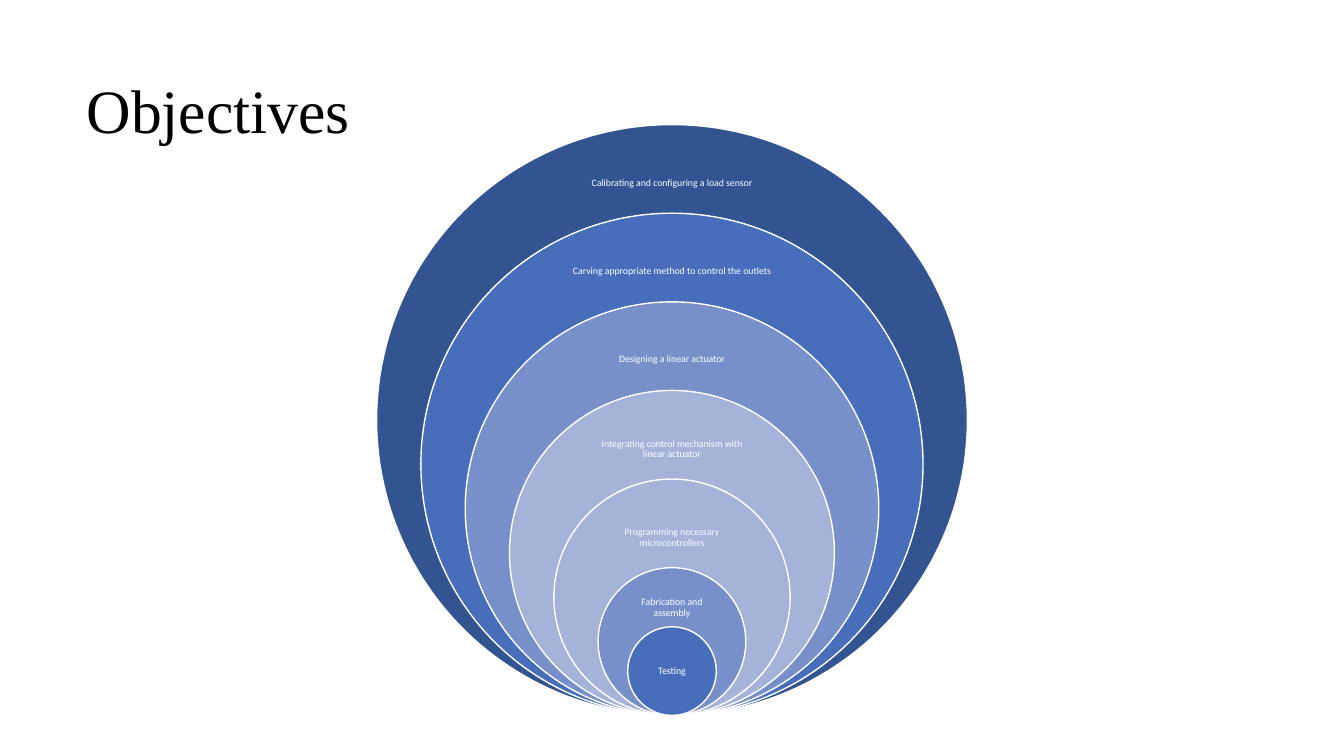
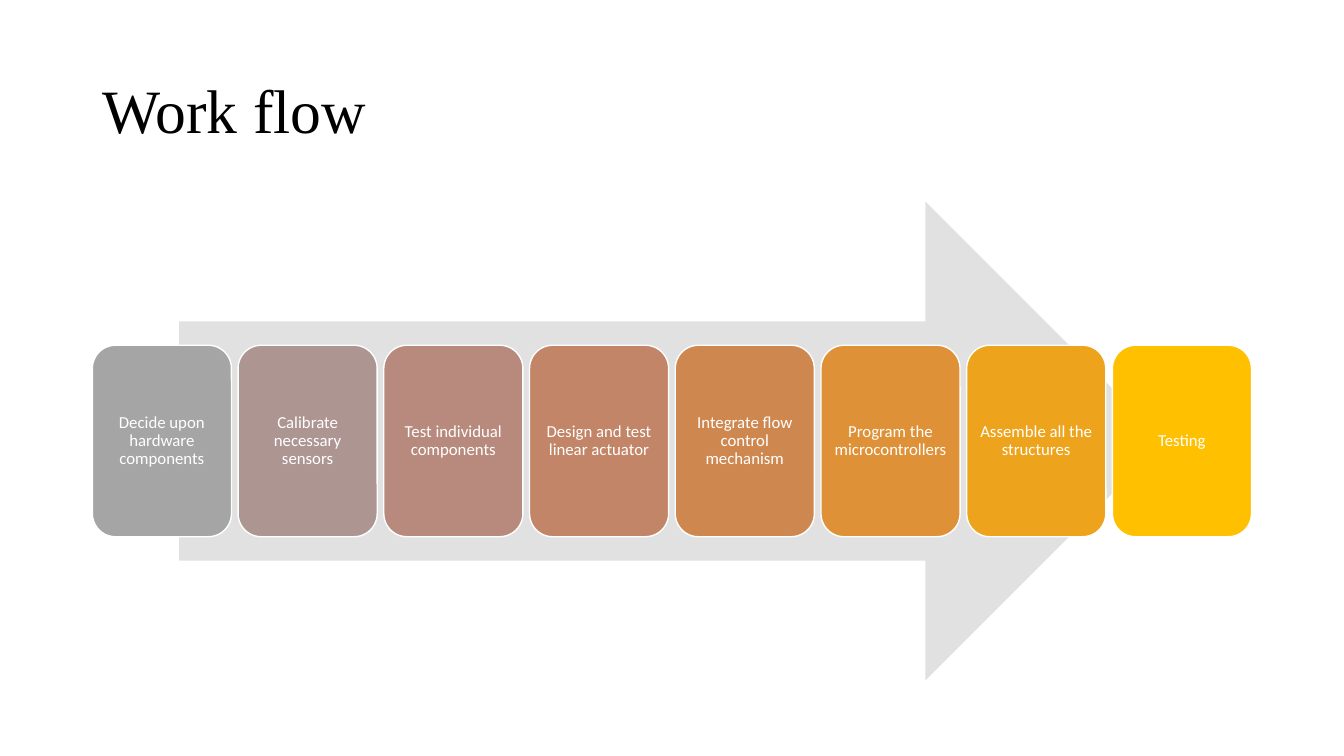
from colorsys import hls_to_rgb

from pptx import Presentation
from pptx.dml.color import RGBColor
from pptx.enum.shapes import MSO_SHAPE
from pptx.enum.text import MSO_ANCHOR, PP_ALIGN
from pptx.util import Pt

OVAL = MSO_SHAPE.OVAL
CARD = MSO_SHAPE.ROUNDED_RECTANGLE
ARROW = MSO_SHAPE.RIGHT_ARROW
MIDDLE = MSO_ANCHOR.MIDDLE
LEFT, CENTER = PP_ALIGN.LEFT, PP_ALIGN.CENTER

WIDTH, HEIGHT = 960, 540
HEAD_FONT, BODY_FONT = "Times New Roman", "Calibri"
BLACK = RGBColor(0x00, 0x00, 0x00)
WHITE = RGBColor(0xFF, 0xFF, 0xFF)
SILVER = RGBColor(0xE1, 0xE1, 0xE1)
NAVY = RGBColor(0x32, 0x54, 0x91)
BLUE = RGBColor(0x47, 0x6D, 0xBB)
STEEL = RGBColor(0x77, 0x90, 0xC9)
PALE = RGBColor(0xA6, 0xB3, 0xD9)

# Label, fill, share of the largest diameter, then label gap, width and height
RINGS = [
    ("Calibrating and configuring a load sensor", NAVY, 1, 21, 158, 42),
    ("Carving appropriate method to control the outlets", BLUE, 0.85, 21, 155, 41),
    ("Designing a linear actuator", STEEL, 0.7, 20.5, 153, 41),
    ("Integrating control mechanism with linear actuator", PALE, 0.55, 21, 125, 42),
    ("Programming necessary microcontrollers", PALE, 0.4, 21, 109, 42),
    ("Fabrication and assembly", STEEL, 0.25, 16, 72, 25),
    ("Testing", BLUE, 0.15, 16, 45, 32),
]
STEPS = [
    "Decide upon hardware components",
    "Calibrate necessary sensors",
    "Test individual components",
    "Design and test linear actuator",
    "Integrate flow control mechanism",
    "Program the microcontrollers",
    "Assemble all the structures",
    "Testing",
]


def write(shape, text, size, font=BODY_FONT, color=WHITE, align=CENTER):
    frame = shape.text_frame
    frame.text = text
    frame.word_wrap = True
    frame.vertical_anchor = MIDDLE
    para = frame.paragraphs[0]
    para.alignment = align
    para.line_spacing = 0.9
    para.font.name = font
    para.font.size = Pt(size)
    para.font.color.rgb = color


def inset(shape, gap=3.6):
    frame = shape.text_frame
    frame.margin_left = frame.margin_right = Pt(gap)
    frame.margin_top = frame.margin_bottom = Pt(gap)


def draw(shapes, kind, box, fill, line=None):
    shape = shapes.add_shape(kind, *map(Pt, box))
    shape.shadow.inherit = False
    shape.fill.solid()
    shape.fill.fore_color.rgb = fill
    if line is None:
        shape.line.fill.background()
    else:
        shape.line.color.rgb = line
        shape.line.width = Pt(1)
    return shape


def start(deck, text, left, width):
    """Add a titled slide and return the shapes of its diagram group."""
    slide = deck.slides.add_slide(deck.slide_layouts[5])
    title = slide.shapes.title
    title.left, title.top = Pt(left), Pt(28.8)
    title.width, title.height = Pt(width), Pt(104.4)
    write(title, text, 44, HEAD_FONT, BLACK, LEFT)
    return slide.shapes.add_group_shape().shapes


def blend(part):
    """Colour between grey (part 0) and gold (part 1)."""
    light = 0.647 - 0.147 * part
    rgb = hls_to_rgb(0.1255 * part, light, part)
    return RGBColor(*(round(255 * tone) for tone in rgb))


def add_rings(shapes, mid=WIDTH / 2, base=511, full=422):
    """Stack circles that all touch the same base point."""
    for text, fill, share, gap, width, height in RINGS:
        size = full * share
        top = base - size
        draw(shapes, OVAL, (mid - size / 2, top, size, size), fill, WHITE)
        box = (mid - width / 2, top + gap, width, height)
        label = shapes.add_textbox(*map(Pt, box))
        inset(label)
        write(label, text, 7)


def add_flow(shapes, left=66, span=828, gap=4.7):
    draw(shapes, ARROW, (128, 144, 704, 342), SILVER)
    count = len(STEPS)
    width = (span - gap * (count - 1)) / count
    for i, text in enumerate(STEPS):
        box = (left + i * (width + gap), 246.6, width, 136.8)
        card = draw(shapes, CARD, box, blend(i / (count - 1)), WHITE)
        inset(card)
        write(card, text, 12)


def main():
    deck = Presentation()
    deck.slide_width, deck.slide_height = Pt(WIDTH), Pt(HEIGHT)
    add_rings(start(deck, "Objectives", 54.7, 216))
    add_flow(start(deck, "Work flow", 66, 828))
    deck.save("out.pptx")


if __name__ == "__main__":
    main()
